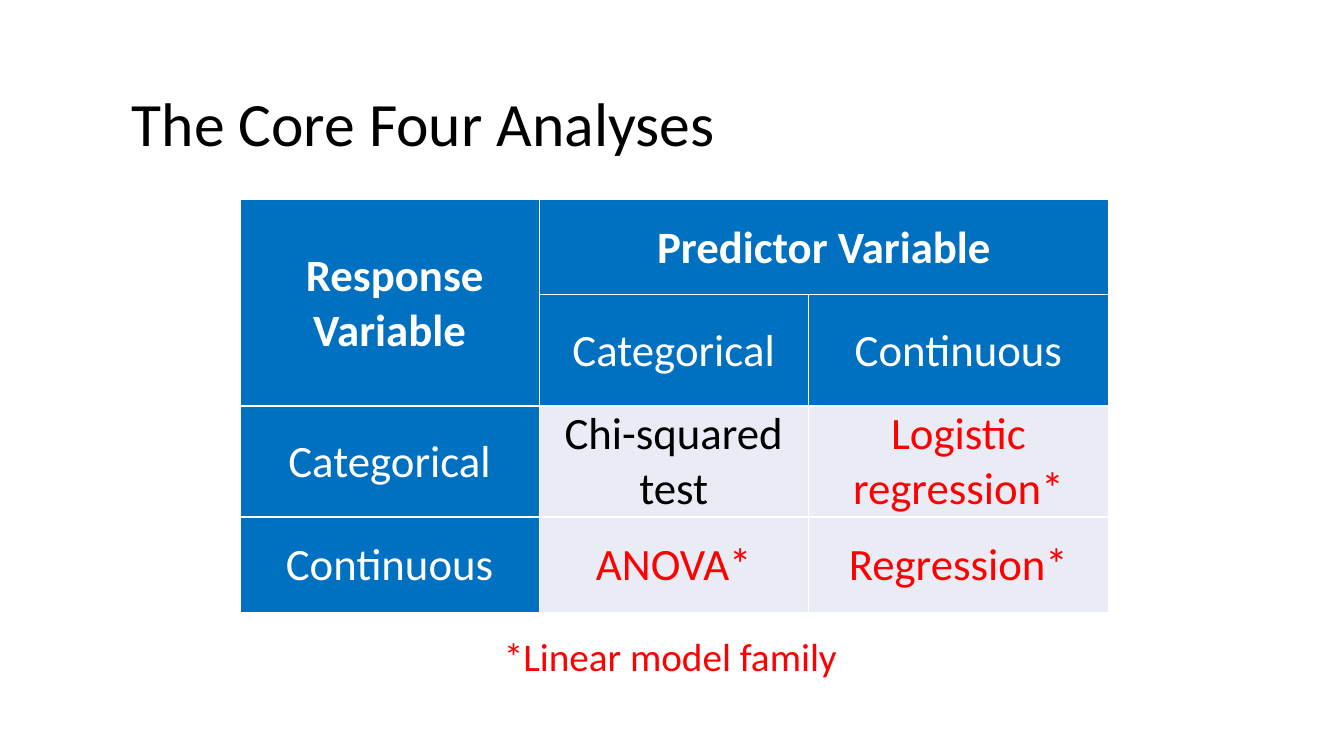
from lxml.etree import SubElement
from pptx import Presentation
from pptx.dml.color import RGBColor
from pptx.enum.text import MSO_ANCHOR, PP_ALIGN
from pptx.oxml.ns import qn
from pptx.util import Cm, Pt

FONT = "Calibri"
BLACK = RGBColor(0x00, 0x00, 0x00)
WHITE = RGBColor(0xFF, 0xFF, 0xFF)
RED = RGBColor(0xFF, 0x00, 0x00)
BLUE = RGBColor(0x00, 0x70, 0xC0)
PALE = RGBColor(0xE9, 0xEB, 0xF5)

COLUMN_WIDTHS = (7.54, 6.78, 7.57)
ROW_HEIGHTS = (2.4, 2.8, 2.8, 2.4)
HEADERS = 2  # header rows at the top
ANALYSES = (
    (" Response Variable", "Predictor Variable", ""),
    ("", "Categorical", "Continuous"),
    ("Categorical", "Chi-squared test", "Logistic regression*"),
    ("Continuous", "ANOVA*", "Regression*"),
)


def write_text(frame, text, size, color, bold=False):
    """Put one formatted paragraph into a text frame and return it."""
    para = frame.paragraphs[0]
    para.text = text
    for span in para.runs:
        span.font.name = FONT
        span.font.size = Pt(size)
        span.font.bold = bold
        span.font.color.rgb = color
    return para


def add_text(page, left, top, width, height, text, size, color, wrap=True):
    box = page.shapes.add_textbox(Cm(left), Cm(top), Cm(width), Cm(height))
    box.text_frame.word_wrap = wrap
    box.text_frame.vertical_anchor = MSO_ANCHOR.MIDDLE
    return write_text(box.text_frame, text, size, color)


def set_borders(cell, color):
    """Draw a one-point line on every side; lines come before the fill."""
    properties = cell._tc.get_or_add_tcPr()
    for index, side in enumerate(("a:lnL", "a:lnR", "a:lnT", "a:lnB")):
        line = SubElement(properties, qn(side), w=str(Pt(1)))
        fill = SubElement(line, qn("a:solidFill"))
        SubElement(fill, qn("a:srgbClr"), val=str(color))
        properties.insert(index, line)


def format_cell(cell, text, fill, color, bold):
    cell.fill.solid()
    cell.fill.fore_color.rgb = fill
    cell.vertical_anchor = MSO_ANCHOR.MIDDLE
    cell.margin_left = cell.margin_right = cell.margin_top = Cm(0.03)
    cell.margin_bottom = 0
    set_borders(cell, WHITE)
    if text:
        para = write_text(cell.text_frame, text, 32, color, bold)
        para.alignment = PP_ALIGN.CENTER


def add_analysis_table(page, left, top):
    frame = page.shapes.add_table(
        len(ROW_HEIGHTS), len(COLUMN_WIDTHS), Cm(left), Cm(top),
        Cm(sum(COLUMN_WIDTHS)), Cm(sum(ROW_HEIGHTS)))
    table = frame.table
    for column, width in zip(table.columns, COLUMN_WIDTHS):
        column.width = Cm(width)
    for row, height in zip(table.rows, ROW_HEIGHTS):
        row.height = Cm(height)

    # Headings span the top-left corner and both predictor columns
    table.cell(0, 0).merge(table.cell(1, 0))
    table.cell(0, 1).merge(table.cell(0, 2))

    for i, texts in enumerate(ANALYSES):
        for j, text in enumerate(texts):
            header = i < HEADERS or j == 0
            # Members of the linear model family carry an asterisk
            body_color = RED if text.endswith("*") else BLACK
            format_cell(table.cell(i, j), text,
                        BLUE if header else PALE,
                        WHITE if header else body_color,
                        bold=i == 0)


def main():
    deck = Presentation()
    deck.slide_width, deck.slide_height = Cm(33.87), Cm(19.05)
    page = deck.slides.add_slide(deck.slide_layouts[6])

    # Table of analyses
    add_analysis_table(page, 6.05, 5.03)

    # Title
    title = add_text(page, 3.07, 1.35, 27.84, 3.68,
                     "The Core Four Analyses", 44, BLACK)
    title.line_spacing = 0.9

    # Footnote
    add_text(page, 12.45, 15.8, 8.99, 1.45,
             "*Linear model family", 28, RED, wrap=False)

    deck.save("out.pptx")


if __name__ == "__main__":
    main()
